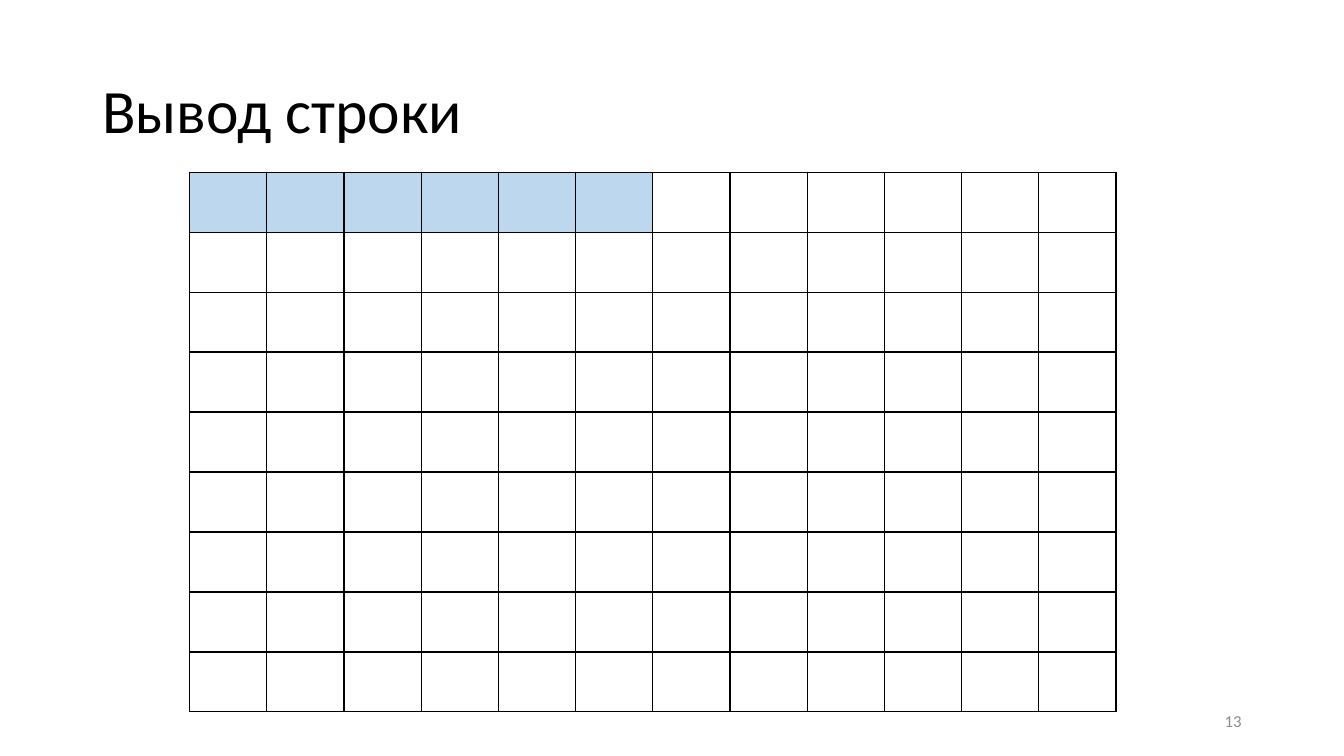
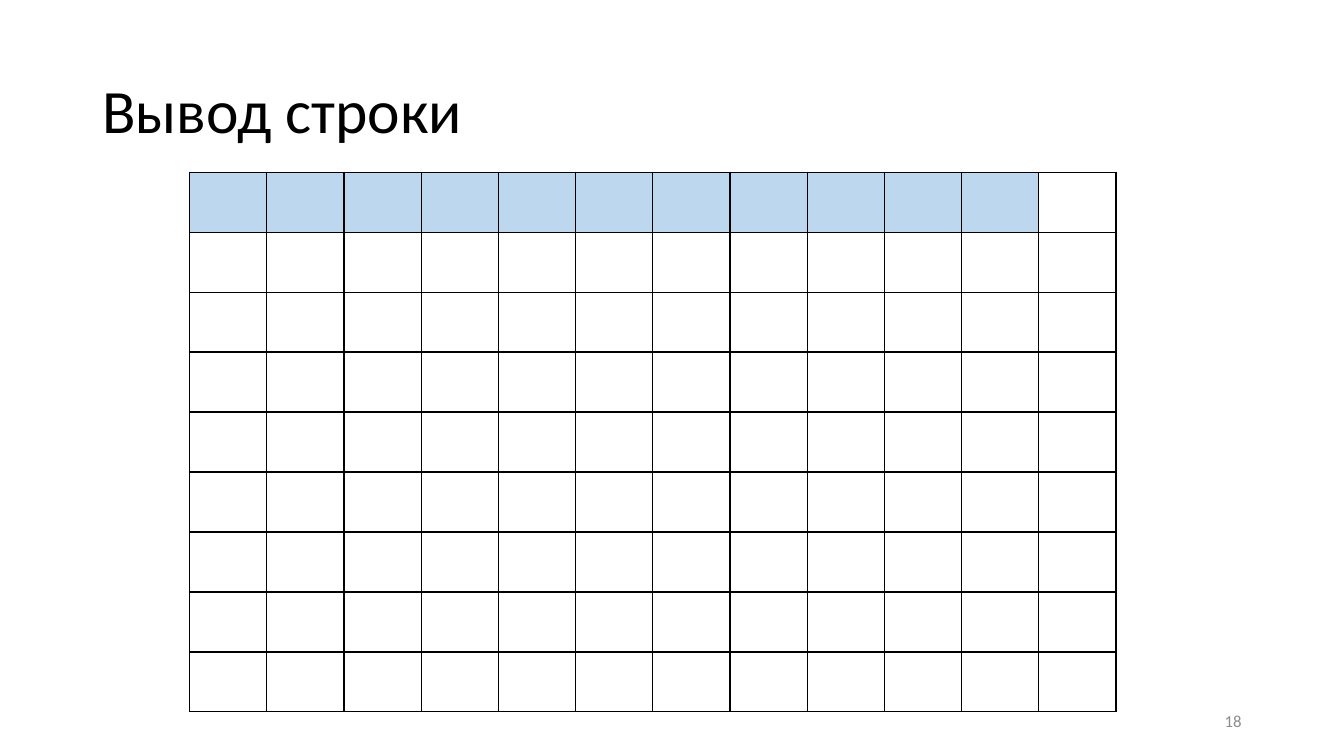
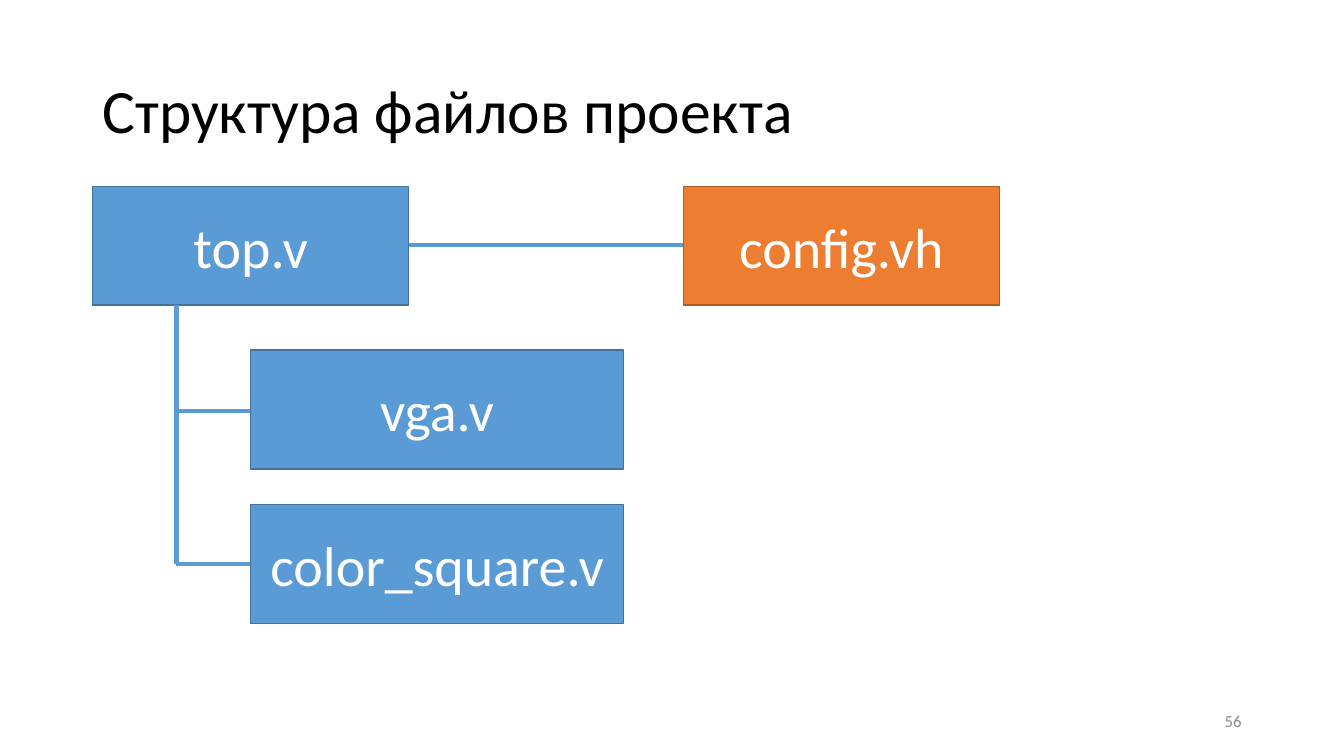
from lxml import etree
from pptx import Presentation
from pptx import util as u
from pptx.dml.color import RGBColor
from pptx.enum import shapes, text
from pptx.oxml.ns import qn

Pt = u.Pt
COLORS = {
    "black": "000000",
    "white": "FFFFFF",
    "number": "8C8C8C",
    "painted": "BDD7EE",
    "blue": "5B9BD5",
    "blue_edge": "43739E",
    "orange": "ED7D31",
    "orange_edge": "AF5C24",
}
TITLE_LAYOUT = 5
ROWS, COLUMNS = 9, 12
CELL_WIDTH, CELL_HEIGHT = 55.15, 42.85


def color(name):
    return RGBColor.from_string(COLORS[name])


def set_all(target, values):
    for name, value in values.items():
        setattr(target, name, value)


class Deck:
    """Holds the shared style and the slide being filled."""

    font = "Calibri"
    frame_format = {
        "word_wrap": True,
        "auto_size": text.MSO_AUTO_SIZE.NONE,
        "vertical_anchor": text.MSO_ANCHOR.MIDDLE,
    }

    def __init__(self):
        self.presentation = Presentation()
        set_all(self.presentation, {"slide_width": Pt(960), "slide_height": Pt(540)})
        self.slide = None

    def add_slide(self, title, number):
        layout = self.presentation.slide_layouts[TITLE_LAYOUT]
        self.slide = self.presentation.slides.add_slide(layout)
        heading = self.slide.shapes.title
        set_all(heading, {"left": Pt(66), "top": Pt(28.75),
                          "width": Pt(828), "height": Pt(104.4)})
        self.label(heading, title, 44, "black", text.PP_ALIGN.LEFT, line_spacing=0.9)
        box = self.slide.shapes.add_textbox(Pt(678), Pt(500.5), Pt(216), Pt(28.75))
        self.label(box, number, 12, "number", text.PP_ALIGN.RIGHT)

    def label(self, shape, words, size, color_name, alignment, **paragraph_format):
        frame = shape.text_frame
        set_all(frame, self.frame_format)
        paragraph = frame.paragraphs[0]
        set_all(paragraph, {"alignment": alignment, **paragraph_format})
        run = paragraph.add_run()
        run.text = words
        set_all(run.font, {"name": self.font, "size": Pt(size)})
        run.font.color.rgb = color(color_name)

    def border(self, cell):
        properties = cell._tc.get_or_add_tcPr()
        for side in ("a:lnL", "a:lnR", "a:lnT", "a:lnB"):
            line = etree.SubElement(properties, qn(side), w=str(Pt(1)))
            fill = etree.SubElement(line, qn("a:solidFill"))
            etree.SubElement(fill, qn("a:srgbClr"), val=COLORS["black"])

    def screen(self, painted_count):
        """Draws the pixel grid with the first cells of its top row painted."""
        frame = self.slide.shapes.add_table(
            ROWS, COLUMNS, Pt(135.5), Pt(123),
            Pt(COLUMNS * CELL_WIDTH), Pt(ROWS * CELL_HEIGHT))
        table = frame.table
        set_all(table, {"first_row": False, "horz_banding": False})
        for column in table.columns:
            column.width = Pt(CELL_WIDTH)
        for row in table.rows:
            row.height = Pt(CELL_HEIGHT)
        for index, cell in enumerate(table.iter_cells()):
            self.border(cell)
            if index < painted_count:
                cell.fill.solid()
                cell.fill.fore_color.rgb = color("painted")
            else:
                cell.fill.background()

    def file_box(self, name, left, top, width, fill="blue"):
        shape = self.slide.shapes.add_shape(
            shapes.MSO_SHAPE.RECTANGLE, Pt(left), Pt(top), Pt(width), Pt(85))
        shape.shadow.inherit = False
        shape.fill.solid()
        shape.fill.fore_color.rgb = color(fill)
        shape.line.color.rgb = color(fill + "_edge")
        shape.line.width = Pt(1)
        self.label(shape, name, 40, "white", text.PP_ALIGN.CENTER)

    def link(self, x1, y1, x2, y2):
        connector = self.slide.shapes.add_connector(
            shapes.MSO_CONNECTOR.STRAIGHT, Pt(x1), Pt(y1), Pt(x2), Pt(y2))
        connector.line.color.rgb = color("blue")
        connector.line.width = Pt(3)
        etree.SubElement(connector._element.spPr, qn("a:effectLst"))


def main():
    deck = Deck()

    for number, painted_count in (("13", 6), ("18", 11)):
        deck.add_slide("Вывод строки", number)
        deck.screen(painted_count)

    deck.add_slide("Структура файлов проекта", "56")
    trunk, top, bottom = 126, 133, 403
    deck.link(292, 175, 502, 175)
    for branch in (293.5, bottom):
        deck.link(trunk, branch, 337, branch)
    deck.file_box("top.v", 66, top, 226)
    deck.file_box("vga.v", 179, 250, 266.5)
    deck.file_box("color_square.v", 179, 360.25, 266.5)
    deck.file_box("config.vh", 488, top, 226, "orange")
    deck.link(trunk, top + 85, trunk, bottom)

    deck.presentation.save("out.pptx")


if __name__ == "__main__":
    main()
